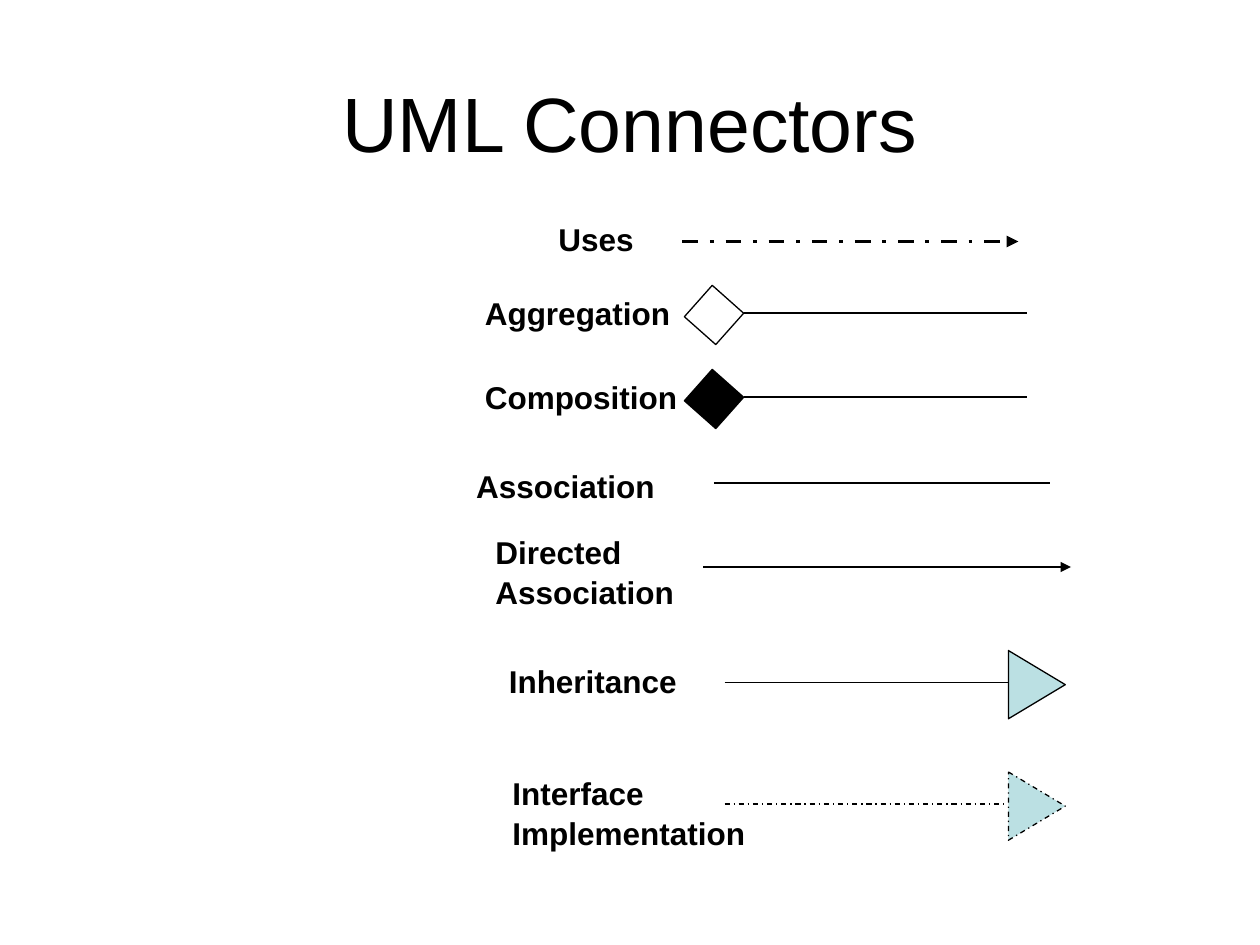
from pptx import Presentation
from pptx.dml.color import RGBColor
from pptx.enum.dml import MSO_LINE as Dash
from pptx.enum.shapes import MSO_CONNECTOR as Link, MSO_SHAPE as Form
from pptx.enum.text import MSO_ANCHOR as Anchor, MSO_AUTO_SIZE as Fit, PP_ALIGN as Align
from pptx.oxml.ns import qn
from pptx.util import Pt
from lxml.etree import SubElement as Sub


def color(code):
    return RGBColor.from_string(code)


def write(frame, text, size=18, bold=False, align=Align.LEFT, ink="000000", font="Arial"):
    frame.text = text
    for para in frame.paragraphs:
        para.alignment = align
        para.line_spacing = 1.05
        para.space_before = Pt(0)
        for run in para.runs:
            run.font.name = font
            run.font.size = Pt(size)
            run.font.bold = bold
            run.font.color.rgb = color(ink)


class Page:
    ink = "000000"
    tint = "BBE0E3"
    thin = 0.75

    def __init__(self, slide):
        self.slide = slide
        self.shapes = slide.shapes

    def title(self, text, x, y, w, h):
        box = self.shapes.title
        box.left, box.top, box.width, box.height = Pt(x), Pt(y), Pt(w), Pt(h)
        frame = box.text_frame
        frame.auto_size = Fit.NONE
        frame.vertical_anchor = Anchor.MIDDLE
        frame.margin_bottom = 0
        write(frame, text, size=44, align=Align.CENTER)

    def label(self, text, x, y, w=150, rows=1):
        box = self.shapes.add_textbox(Pt(x), Pt(y), Pt(w), Pt(7.2 + 21.6 * rows))
        frame = box.text_frame
        frame.word_wrap = True
        write(frame, text, bold=True)

    def stroke(self, line, width, dash):
        line.color.rgb = color(self.ink)
        line.width = Pt(width)
        if dash:
            line.dash_style = Dash.DASH_DOT

    def line(self, start, end, y, width=thin, dash=False, arrow=False):
        link = self.shapes.add_connector(Link.STRAIGHT, Pt(start), Pt(y), Pt(end), Pt(y))
        self.stroke(link.line, width, dash)
        props = link._element.spPr
        if arrow:
            Sub(props.find(qn("a:ln")), qn("a:tailEnd"), type="triangle")
        Sub(props, qn("a:effectLst"))

    def shape(self, form, x, y, w, h, turn, fill=None, dash=False):
        item = self.shapes.add_shape(form, Pt(x), Pt(y), Pt(w), Pt(h))
        item.shadow.inherit = False
        item.rotation = turn
        if fill:
            item.fill.solid()
            item.fill.fore_color.rgb = color(fill)
        else:
            item.fill.background()
        self.stroke(item.line, self.thin, dash)

    def owner(self, text, y, fill=None):
        self.shape(Form.RECTANGLE, 396, y, 24, 24, 41.6, fill)
        self.line(425, 587, y + 10.8)
        self.label(text, 270, y - 4.7, 210)

    def parent(self, y, dash=False):
        self.shape(Form.ISOSCELES_TRIANGLE, 573, y, 39, 32.5, 90, self.tint, dash)
        self.line(414, 576, y + 15, dash=dash)


def main():
    deck = Presentation()
    deck.slide_width, deck.slide_height = Pt(720), Pt(540)
    page = Page(deck.slides.add_slide(deck.slide_layouts[5]))

    page.title("UML Connectors", 36, 21.6, 648, 90)
    page.line(390, 582, 138, width=2.25, dash=True, arrow=True)
    page.label("Uses", 312, 121, 210)
    page.owner("Aggregation", 168)
    page.owner("Composition", 216, page.ink)
    page.line(408, 600, 276)
    page.line(402, 612, 324, arrow=True)
    page.parent(375)
    page.parent(444.4, dash=True)

    page.label("Association", 265, 262)
    page.label("Directed Association", 276, 300, rows=2)
    page.label("Inheritance", 283.7, 373.7)
    page.label("Interface\nImplementation", 285.8, 437.8, rows=2)

    deck.save("out.pptx")


if __name__ == "__main__":
    main()
